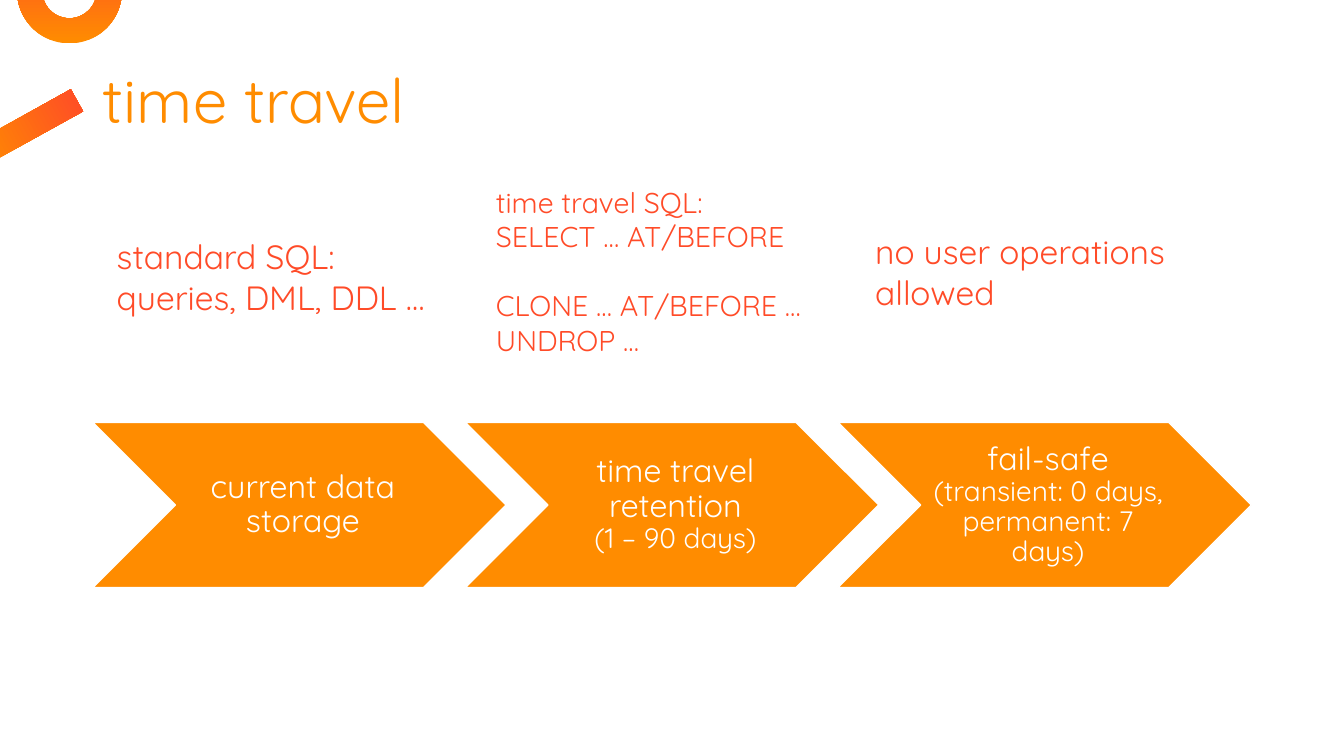
"""Build the time travel slide: three retention stages and the SQL allowed in each."""
from pptx import Presentation
from pptx.dml.color import RGBColor
from pptx.enum.shapes import MSO_SHAPE
from pptx.enum.text import MSO_ANCHOR, MSO_AUTO_SIZE, PP_ALIGN
from pptx.util import Inches, Pt

ORANGE = RGBColor(0xFF, 0x8C, 0x00)
RED = RGBColor(0xFF, 0x4B, 0x28)
WHITE = RGBColor(0xFF, 0xFF, 0xFF)
FONT = "Quicksand"

deck = Presentation()
deck.slide_width = Inches(13.33)
deck.slide_height = Inches(7.5)
page = deck.slides.add_slide(deck.slide_layouts[5])


def place(left, top, width, height):
    """Turn percentages of the slide into lengths."""
    across, down = deck.slide_width / 100, deck.slide_height / 100
    return int(left * across), int(top * down), int(width * across), int(height * down)


def add_plain_shape(kind, area):
    """Add a preset shape without shadow or outline."""
    shape = page.shapes.add_shape(kind, *place(*area))
    shape.shadow.inherit = False
    shape.line.fill.background()
    return shape


ring = add_plain_shape(MSO_SHAPE.DONUT, (1.27, -8.13, 7.8, 13.87))
ring.adjustments[0] = 0.24
bar = add_plain_shape(MSO_SHAPE.RECTANGLE, (1.27, 9.6, 1.88, 14.27))
bar.rotation = 61
for ornament in (ring, bar):
    ornament.fill.gradient()
    ornament.fill.gradient_angle = 90
    for stop, color in zip(ornament.fill.gradient_stops, (ORANGE, RED)):
        stop.color.rgb = color

title = page.shapes.title
title.left, title.top, title.width, title.height = place(6.9, 7.07, 86.27, 11.73)
title.text_frame.text = "time travel"
title.text_frame.auto_size = MSO_AUTO_SIZE.NONE
title.text_frame.vertical_anchor = MSO_ANCHOR.BOTTOM
heading = title.text_frame.paragraphs[0]
heading.alignment = PP_ALIGN.LEFT
heading.line_spacing = 0.9
heading.font.name, heading.font.size = FONT, Pt(44)
heading.font.color.rgb = ORANGE

STAGES = [
    ("current data storage", ""),
    ("time travel retention", "(1 – 90 days)"),
    ("fail-safe", "(transient: 0 days, permanent: 7 days)"),
]
for column, (stage, duration) in enumerate(STAGES):
    chevron = add_plain_shape(MSO_SHAPE.CHEVRON, (6.9 + 27.72 * column, 55.87, 30.76, 21.87))
    chevron.fill.solid()
    chevron.fill.fore_color.rgb = ORANGE
    chevron.line.color.rgb = WHITE
    chevron.line.width = Pt(1)
    frame = chevron.text_frame
    frame.word_wrap = True
    frame.vertical_anchor = MSO_ANCHOR.MIDDLE
    frame.margin_left = Inches(0.1)
    frame.margin_top = frame.margin_right = frame.margin_bottom = Inches(0.03)
    para = frame.paragraphs[0]
    para.alignment = PP_ALIGN.CENTER
    para.line_spacing = 0.9
    para.font.name = FONT
    para.font.color.rgb = WHITE
    span = para.add_run()
    span.text = stage
    span.font.size = Pt(23)
    if duration:
        para.add_line_break()
        span = para.add_run()
        span.text = duration
        span.font.size = Pt(20)

OPERATIONS = [
    (28.4, 26.63, 16.4, 24, ["standard SQL:", "queries, DML, DDL …"]),
    (24.27, 25.88, 23.07, 20.4,
     ["time travel SQL:", "SELECT … AT/BEFORE", "CLONE … AT/BEFORE …", "UNDROP …"]),
    (27.73, 28.81, 16.4, 24, ["no user operations allowed"]),
]
for column, (top, width, height, size, lines) in enumerate(OPERATIONS):
    box = add_plain_shape(MSO_SHAPE.RECTANGLE, (7.95 + 28.21 * column, top, width, height))
    box.fill.solid()
    box.fill.fore_color.rgb = WHITE
    frame = box.text_frame
    frame.word_wrap = True
    frame.vertical_anchor = MSO_ANCHOR.MIDDLE
    for row, line in enumerate(lines):
        para = frame.add_paragraph() if row else frame.paragraphs[0]
        para.text = line
        para.alignment = PP_ALIGN.LEFT
        if line.startswith("CLONE"):
            para.space_before = Pt(25)
        para.font.name, para.font.size = FONT, Pt(size)
        para.font.color.rgb = RED

deck.save("out.pptx")
